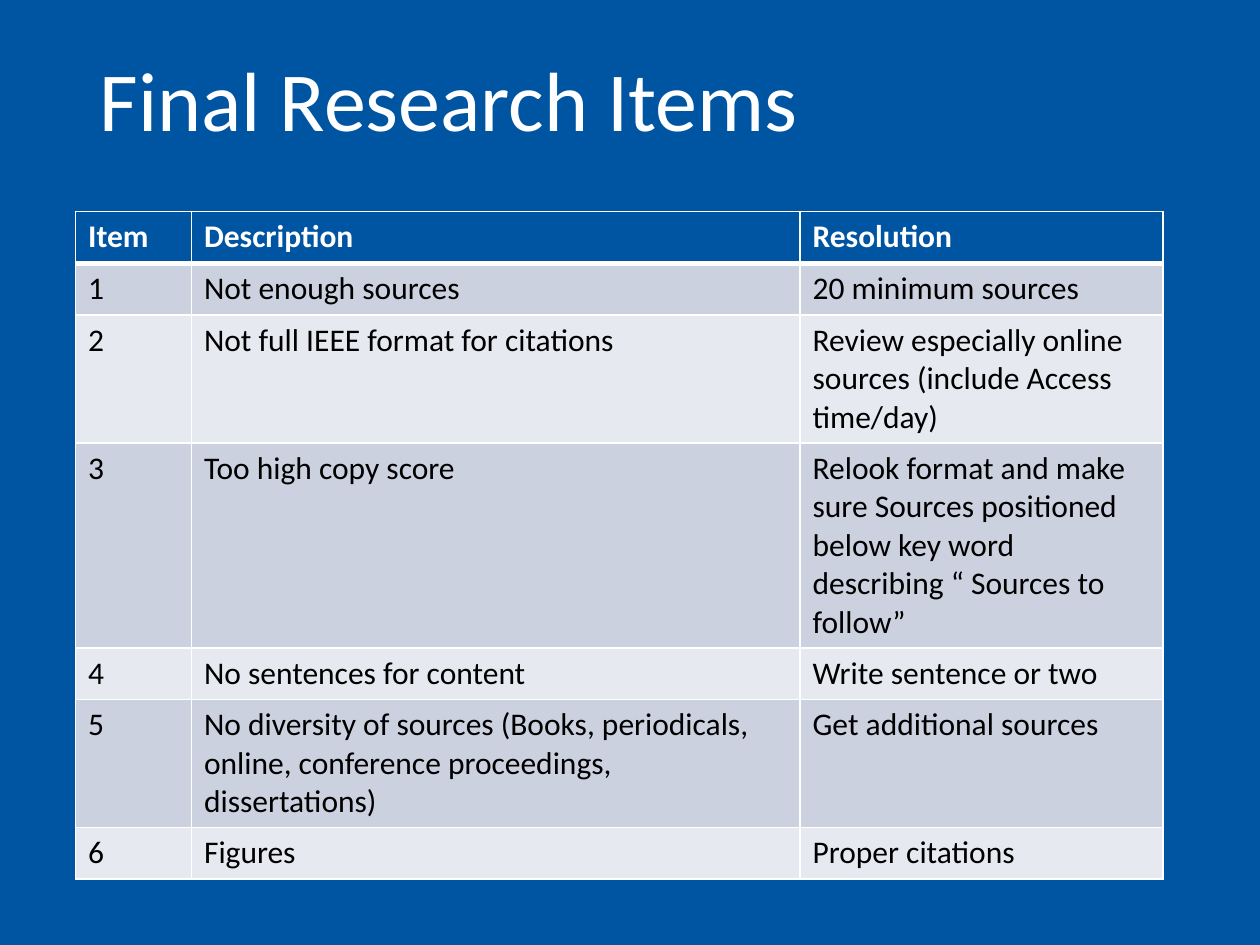
from lxml import etree
from pptx import Presentation
from pptx import util as u
from pptx.dml.color import RGBColor
from pptx.enum import text
from pptx.oxml import ns

BLUE, WHITE, BLACK = "0055A2", "FFFFFF", "000000"
BANDS = ["CCD1E0", "E7E9F0"]
COLUMNS = [0.92, 4.83, 2.88]
ROW_HEIGHT = 0.41
ROWS = [
    ("Item", "Description", "Resolution"),
    ("1", "Not enough sources", "20 minimum sources"),
    ("2", "Not full IEEE format for citations",
     "Review especially online sources (include Access time/day)"),
    ("3", "Too high copy score",
     "Relook format and make sure Sources positioned below key word "
     "describing “ Sources to follow”"),
    ("4", "No sentences for content", "Write sentence or two"),
    ("5", "No diversity of sources (Books, periodicals, online, "
     "conference proceedings, dissertations)", "Get additional sources"),
    ("6", "Figures", "Proper citations"),
]


def paint(fill, color):
    """Give a fill one solid colour."""
    fill.solid()
    fill.fore_color.rgb = RGBColor.from_string(color)


def style(p, size, color, bold=False):
    """Set the font of a paragraph."""
    p.font.name, p.font.size, p.font.bold = "Calibri", u.Pt(size), bold
    p.font.color.rgb = RGBColor.from_string(color)


def add_borders(cell, top, bottom):
    """Draw white lines around a cell, with widths in points."""
    tc_pr = cell._tc.get_or_add_tcPr()
    for i, (side, width) in enumerate(zip("LRTB", (1, 1, top, bottom))):
        ln = etree.Element(ns.qn(f"a:ln{side}"), w=str(u.Pt(width)))
        fill = etree.SubElement(ln, ns.qn("a:solidFill"))
        etree.SubElement(fill, ns.qn("a:srgbClr"), val=WHITE)
        tc_pr.insert(i, ln)


def add_title(s, words):
    """Place the slide title."""
    sp = s.shapes.title
    sp.left, sp.top, sp.width, sp.height = map(u.Inches, (0.69, 0.34, 8.62, 0.97))
    tf = sp.text_frame
    tf.text = words
    tf.vertical_anchor = text.MSO_ANCHOR.MIDDLE
    p = tf.paragraphs[0]
    p.alignment = text.PP_ALIGN.LEFT
    p.line_spacing = 0.9
    style(p, 48, WHITE)


def fill_cell(cell, words, row):
    """Write and format a cell according to its row."""
    header = row == 0
    cell.text = words
    paint(cell.fill, BLUE if header else BANDS[(row - 1) % 2])
    style(cell.text_frame.paragraphs[0], 18, WHITE if header else BLACK, header)
    add_borders(cell, 3 if row == 1 else 1, 3 if header else 1)


def add_items(s):
    """Build the table of research items."""
    frame = s.shapes.add_table(
        len(ROWS), len(COLUMNS), u.Inches(0.6), u.Inches(1.68),
        u.Inches(sum(COLUMNS)), u.Inches(ROW_HEIGHT * len(ROWS)))
    table = frame.table
    for column, width in zip(table.columns, COLUMNS):
        column.width = u.Inches(width)
    for i, words in enumerate(ROWS):
        for j, word in enumerate(words):
            fill_cell(table.cell(i, j), word, i)


def main():
    """Build and save the slide."""
    prs = Presentation()
    prs.slide_width, prs.slide_height = u.Inches(10), u.Inches(7.5)
    s = prs.slides.add_slide(prs.slide_layouts[5])
    paint(s.background.fill, BLUE)
    add_title(s, "Final Research Items")
    add_items(s)
    prs.save("out.pptx")


if __name__ == "__main__":
    main()
